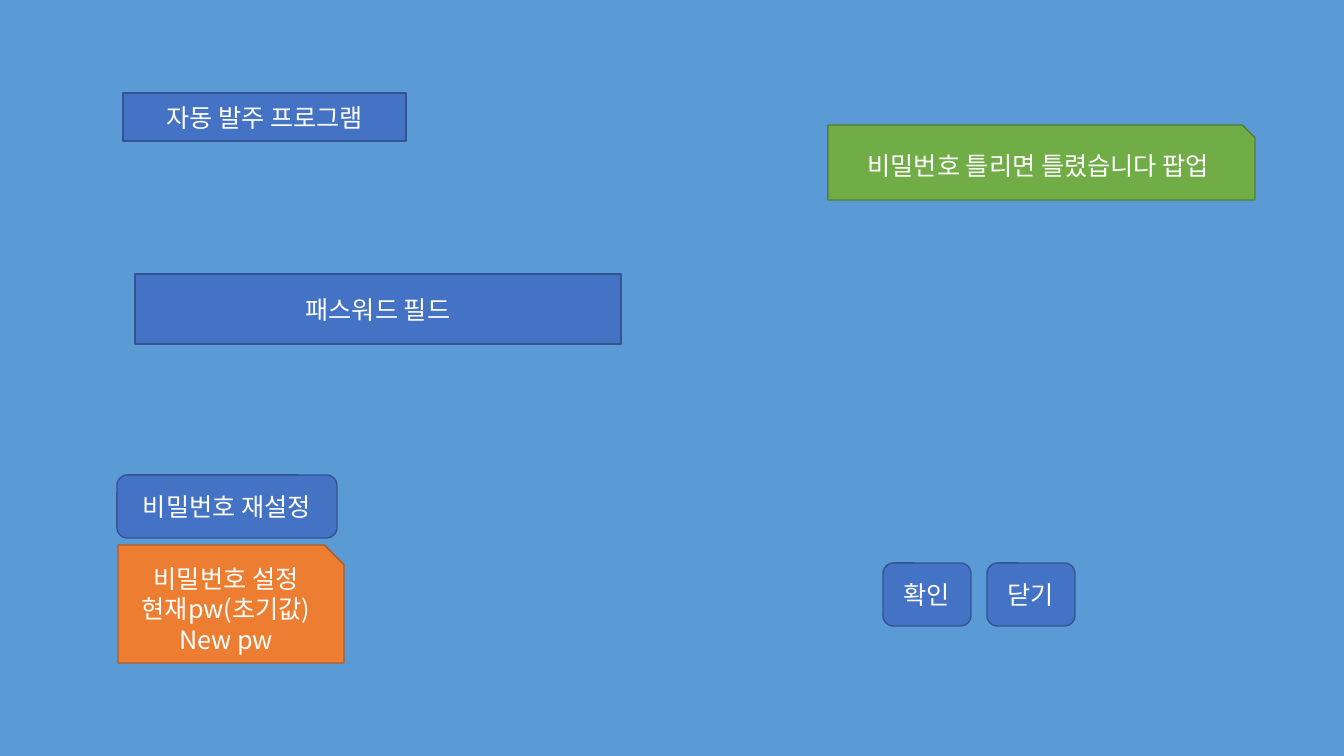
import pptx
import pptx.util
import pptx.dml.color
import pptx.enum.shapes
import pptx.enum.text
import pptx.oxml
import pptx.oxml.ns

KIND = pptx.enum.shapes.MSO_SHAPE
TEXT = pptx.enum.text
SIZE = (1344, 756)
PX = 9525 * 96 / 100.8

THEME = {
    "back": "5B9BD5",
    "text": "FFFFFF",
    "font": "Noto Sans CJK KR",
    "size": 18,
    "rule": 1,
    "blue": ("4472C4", "325491"),
    "green": ("70AD47", "538035"),
    "orange": ("ED7D31", "AF5C24"),
}

TITLE = ("자동 발주 프로그램", "blue", (123, 93, 283, 48))
FIELD = ("패스워드 필드", KIND.RECTANGLE, "blue", (135, 274, 486, 70))
BUTTONS = ["확인", "닫기"]
ROW = {"left": 883, "top": 563, "wide": 88, "high": 63, "gap": 16}
NOTES = [
    ("비밀번호 틀리면 틀렸습니다 팝업", KIND.SNIP_1_RECTANGLE, "green",
     (828, 125, 427, 75)),
    ("비밀번호 설정\n현재pw(초기값)\nNew pw", KIND.SNIP_1_RECTANGLE, "orange",
     (118, 545, 226, 118)),
]
RESET = ("비밀번호 재설정", KIND.ROUNDED_RECTANGLE, "blue", (117, 475, 220, 63))


def emu(px):
    return pptx.util.Emu(round(px * PX))


def color(name):
    return pptx.dml.color.RGBColor.from_string(name)


def apply(item, values):
    for name, value in values.items():
        setattr(item, name, value)


def style(shape, text, tone):
    fill, line = THEME[tone]
    shape.shadow.inherit = False
    shape.fill.solid()
    shape.fill.fore_color.rgb = color(fill)
    shape.line.color.rgb = color(line)
    shape.line.width = pptx.util.Pt(THEME["rule"])
    frame = shape.text_frame
    frame.text = text
    apply(frame, {
        "word_wrap": True,
        "auto_size": TEXT.MSO_AUTO_SIZE.NONE,
        "vertical_anchor": TEXT.MSO_ANCHOR.MIDDLE,
    })
    for para in frame.paragraphs:
        para.alignment = TEXT.PP_ALIGN.CENTER
        for run in para.runs:
            apply(run.font, {
                "name": THEME["font"],
                "size": pptx.util.Pt(THEME["size"]),
            })
            run.font.color.rgb = color(THEME["text"])
            east = pptx.oxml.parse_xml(
                f'<a:ea {pptx.oxml.ns.nsdecls("a")} typeface="{THEME["font"]}"/>')
            run.font._element.find(pptx.oxml.ns.qn("a:latin")).addnext(east)


def place(slide, text, kind, tone, box):
    shape = slide.shapes.add_shape(kind, *map(emu, box))
    style(shape, text, tone)


def main():
    deck = pptx.Presentation()
    deck.slide_width, deck.slide_height = map(emu, SIZE)
    slide = deck.slides.add_slide(deck.slide_layouts[5])
    slide.background.fill.solid()
    slide.background.fill.fore_color.rgb = color(THEME["back"])

    text, tone, box = TITLE
    title = slide.shapes.title
    apply(title, dict(zip(("left", "top", "width", "height"), map(emu, box))))
    style(title, text, tone)

    step = ROW["wide"] + ROW["gap"]
    buttons = [
        (label, KIND.ROUNDED_RECTANGLE, "blue",
         (ROW["left"] + i * step, ROW["top"], ROW["wide"], ROW["high"]))
        for i, label in enumerate(BUTTONS)
    ]
    for part in [FIELD, *buttons, *NOTES, RESET]:
        place(slide, *part)
    deck.save("out.pptx")


if __name__ == "__main__":
    main()
